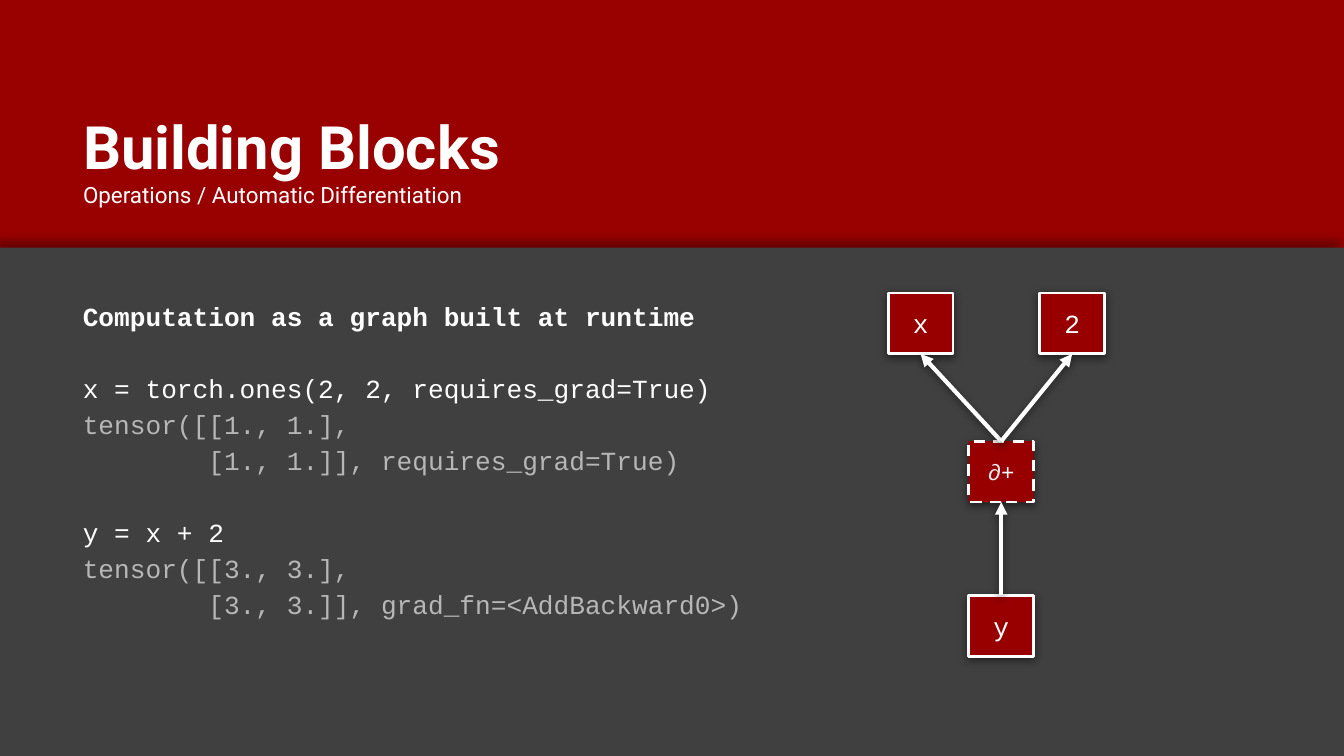
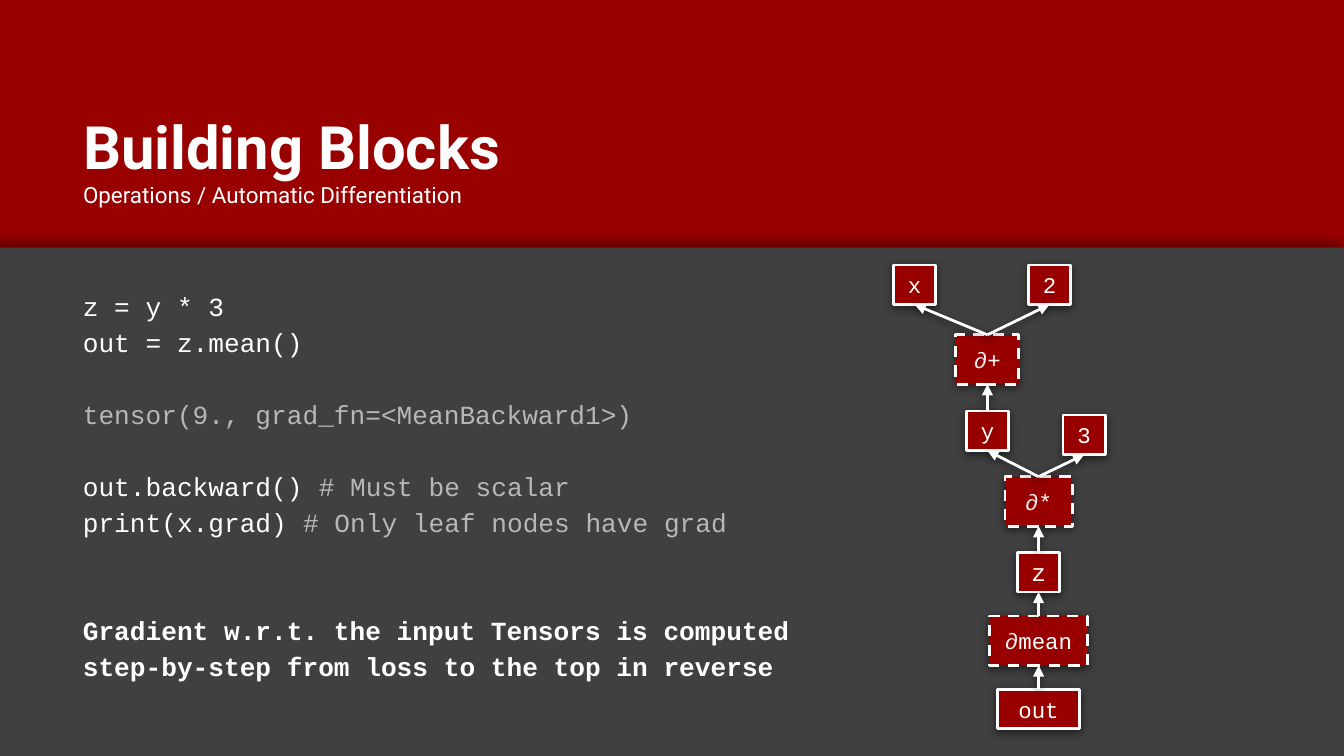
from lxml import etree
from pptx import Presentation
from pptx.dml.color import RGBColor
from pptx.enum.dml import MSO_LINE
from pptx.enum.shapes import MSO_CONNECTOR, MSO_SHAPE
from pptx.enum.text import MSO_ANCHOR, MSO_AUTO_SIZE, PP_ALIGN
from pptx.oxml.ns import qn
from pptx.util import Pt

RECTANGLE = MSO_SHAPE.RECTANGLE
STRAIGHT = MSO_CONNECTOR.STRAIGHT
DASH = MSO_LINE.DASH
LEFT, CENTER = PP_ALIGN.LEFT, PP_ALIGN.CENTER
TOP, MIDDLE, BOTTOM = MSO_ANCHOR.TOP, MSO_ANCHOR.MIDDLE, MSO_ANCHOR.BOTTOM
TOP_SIDE, BOTTOM_SIDE = 0, 2

RED = RGBColor(0x99, 0x00, 0x00)
NODE_RED = RGBColor(0x98, 0x00, 0x00)
DARK_GRAY = RGBColor(0x40, 0x40, 0x40)
OUTPUT_GRAY = RGBColor(0xB7, 0xB7, 0xB7)
PALE_GRAY = RGBColor(0xE8, 0xEA, 0xED)
WHITE = RGBColor(0xFF, 0xFF, 0xFF)

TITLE_FONT = "Roboto"
CODE_FONT = "Courier New"
SLIDE_WIDTH, SLIDE_HEIGHT = 720, 405
BAND_TOP = 132.7
MARGIN_LEFT = 37.3
CODE_SIZE = 14
CODE_LINE = 19.3  # height of one line of code, used for gaps


def add_text(paragraph, text, size=CODE_SIZE, font=CODE_FONT, color=WHITE, bold=False):
    run = paragraph.add_run()
    run.text = text
    run.font.size = Pt(size)
    run.font.name = font
    run.font.bold = bold
    run.font.color.rgb = color


def set_frame(frame, anchor):
    frame.word_wrap = True
    frame.auto_size = MSO_AUTO_SIZE.NONE
    frame.vertical_anchor = anchor
    frame.margin_left = frame.margin_right = Pt(7.2)
    frame.margin_top = frame.margin_bottom = Pt(7.2)


def add_shadow(shape, distance=1.5, direction=90, opacity=50):
    effects = etree.SubElement(shape._element.spPr, qn("a:effectLst"))
    shadow = etree.SubElement(
        effects, qn("a:outerShdw"), blurRad=str(Pt(4.5)), dist=str(Pt(distance)),
        dir=str(direction * 60000), algn="bl", rotWithShape="0")
    color = etree.SubElement(shadow, qn("a:srgbClr"), val="000000")
    etree.SubElement(color, qn("a:alpha"), val=str(opacity * 1000))


def add_rectangle(slide, left, top, width, height, fill):
    shape = slide.shapes.add_shape(RECTANGLE, Pt(left), Pt(top), Pt(width), Pt(height))
    shape.fill.solid()
    shape.fill.fore_color.rgb = fill
    return shape


def add_titled_slide(presentation):
    slide = presentation.slides.add_slide(presentation.slide_layouts[5])

    # Dark lower area
    band = add_rectangle(slide, 0, BAND_TOP, SLIDE_WIDTH, SLIDE_HEIGHT - BAND_TOP, DARK_GRAY)
    band.line.fill.background()
    add_shadow(band, distance=3.8, direction=242, opacity=30)

    # Title with subtitle line
    title = slide.shapes.title
    title.left, title.top = Pt(MARGIN_LEFT), Pt(58.3)
    title.width, title.height = Pt(647.3), Pt(60.5)
    frame = title.text_frame
    set_frame(frame, BOTTOM)
    heading, subtitle = frame.paragraphs[0], frame.add_paragraph()
    heading.alignment = subtitle.alignment = LEFT
    add_text(heading, "Building Blocks", size=32, font=TITLE_FONT, bold=True)
    add_text(subtitle, "Operations / Automatic Differentiation", size=12, font=TITLE_FONT)
    return slide


def add_code(slide, top, width, height, lines):
    """Each line is (empty lines above, [(text, format), ...])."""
    box = slide.shapes.add_textbox(Pt(MARGIN_LEFT), Pt(top), Pt(width), Pt(height))
    frame = box.text_frame
    set_frame(frame, TOP)
    for index, (gap, pieces) in enumerate(lines):
        paragraph = frame.add_paragraph() if index else frame.paragraphs[0]
        paragraph.line_spacing = 1.15
        if gap:
            paragraph.space_before = Pt(gap * CODE_LINE)
        for text, text_format in pieces:
            add_text(paragraph, text, **text_format)


def add_node(slide, label, center, top, width, height, size=12):
    """Draw a value, or a dashed operation when the label starts with ∂."""
    node = add_rectangle(slide, center - width / 2, top, width, height, NODE_RED)
    node.line.color.rgb = WHITE
    node.line.width = Pt(1.5)
    set_frame(node.text_frame, MIDDLE)
    paragraph = node.text_frame.paragraphs[0]
    paragraph.alignment = CENTER
    if label.startswith("∂"):
        node.line.dash_style = DASH
        add_text(paragraph, "∂", size=size, color=PALE_GRAY)
    add_text(paragraph, label.removeprefix("∂"), size=size)
    add_shadow(node)
    return node


def add_arrow(slide, lower, upper, weight):
    arrow = slide.shapes.add_connector(STRAIGHT, 0, 0, 0, 0)
    arrow.begin_connect(lower, TOP_SIDE)
    arrow.end_connect(upper, BOTTOM_SIDE)
    arrow.line.color.rgb = WHITE
    arrow.line.width = Pt(weight)
    etree.SubElement(arrow.line._get_or_add_ln(), qn("a:tailEnd"), type="triangle")
    add_shadow(arrow)


def add_graph(slide, nodes, edges, weight):
    shapes = {node[0]: add_node(slide, *node) for node in nodes}
    for lower, upper in edges:
        add_arrow(slide, shapes[lower], shapes[upper], weight)


PLAIN = {}
BOLD = {"bold": True}
OUTPUT = {"color": OUTPUT_GRAY}


def build_runtime_graph(presentation):
    slide = add_titled_slide(presentation)
    add_code(slide, 151.2, 401, 213.1, [
        (0, [("Computation as a graph built at runtime", BOLD)]),
        (1, [("x = torch.ones(2, 2, requires_grad=True)", PLAIN)]),
        (0, [("tensor([[1., 1.],", OUTPUT)]),
        (0, [("        [1., 1.]], requires_grad=True)", OUTPUT)]),
        (1, [("y = x + 2", PLAIN)]),
        (0, [("tensor([[3., 3.],", OUTPUT)]),
        (0, [("        [3., 3.]], grad_fn=<AddBackward0>)", OUTPUT)]),
    ])
    box = (34.8, 32.6)
    add_graph(slide, [
        ("x", 493.2, 157, *box, 14),
        ("2", 574.4, 157, *box, 14),
        ("y", 536.4, 319, *box, 14),
        ("∂+", 536.4, 236.4, *box),
    ], [("∂+", "x"), ("∂+", "2"), ("y", "∂+")], weight=2.25)


def build_backward_graph(presentation):
    slide = add_titled_slide(presentation)
    add_code(slide, 145.7, 428.4, 220.3, [
        (0, [("z = y * 3", PLAIN)]),
        (0, [("out = z.mean()", PLAIN)]),
        (1, [("tensor(9., grad_fn=<MeanBackward1>)", OUTPUT)]),
        (1, [("out.backward() ", PLAIN), ("# Must be scalar", OUTPUT)]),
        (0, [("print(x.grad) ", PLAIN), ("# Only leaf nodes have grad", OUTPUT)]),
        (2, [("Gradient w.r.t. the input Tensors is computed "
              "step-by-step from loss to the top in reverse", BOLD)]),
    ])
    box = (22.6, 21.2)
    plus_center, times_center = 529, 556.4
    add_graph(slide, [
        ("x", 490, 142, *box),
        ("2", 562.2, 142, *box),
        ("∂+", plus_center, 179.4, 33.8, 26.5),
        ("y", plus_center, 220.2, *box),
        ("3", 580.8, 222.4, *box),
        ("∂*", times_center, 255.4, 36, 26.5),
        ("z", times_center, 296, *box, 13),
        ("∂mean", times_center, 330, 52.9, 26.5),
        ("out", times_center, 369.3, 44, 21.2),
    ], [
        ("∂+", "x"), ("∂+", "2"), ("y", "∂+"), ("∂*", "3"), ("∂*", "y"),
        ("z", "∂*"), ("∂mean", "z"), ("out", "∂mean"),
    ], weight=1.5)


def main():
    presentation = Presentation()
    presentation.slide_width, presentation.slide_height = Pt(SLIDE_WIDTH), Pt(SLIDE_HEIGHT)
    background = presentation.slide_master.background.fill
    background.solid()
    background.fore_color.rgb = RED
    build_runtime_graph(presentation)
    build_backward_graph(presentation)
    presentation.save("out.pptx")


if __name__ == "__main__":
    main()
